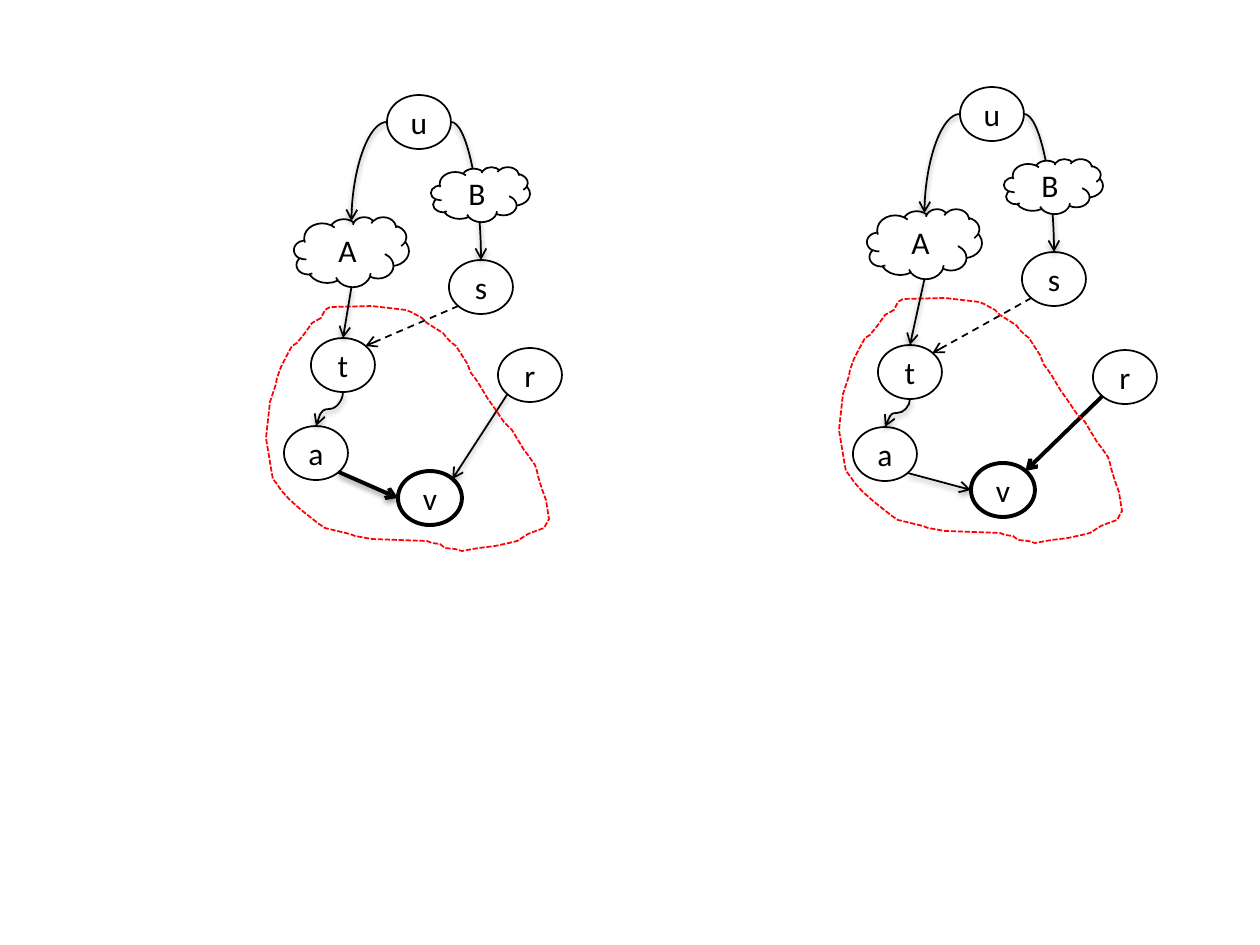
from lxml import etree
from pptx import Presentation, util as u
from pptx.dml.color import RGBColor
from pptx.enum import dml, shapes, text
from pptx.oxml.ns import qn

PX = u.Inches(1) / 126
OVAL, CLOUD = shapes.MSO_SHAPE.OVAL, shapes.MSO_SHAPE.CLOUD
TOP, BOTTOM, LEFT, RIGHT = (0.5, 0), (0.5, 1), (0, 0.5), (1, 0.5)
LOWER_LEFT, LOWER_RIGHT, UPPER_RIGHT = (0.15, 0.85), (0.85, 0.85), (0.85, 0.15)
CLOUD_TOP = (0.5, 0.06)
REGION = [
    (321, 318), (312, 323), (305, 333), (301, 338), (297, 343), (292, 346),
    (286, 357), (281, 367), (277, 378), (276, 384), (270, 402), (266, 438),
    (272, 474), (273, 479), (277, 484), (281, 490), (289, 499), (299, 508),
    (305, 513), (319, 524), (325, 528), (350, 534), (355, 536), (372, 539),
    (427, 541), (432, 543), (440, 544), (445, 548), (455, 549), (462, 551),
    (473, 549), (479, 548), (495, 546), (509, 543), (517, 541), (528, 534),
    (533, 532), (544, 528), (549, 519), (546, 500), (542, 489), (538, 476),
    (537, 471), (535, 465), (528, 455), (524, 450), (518, 440), (512, 430),
    (504, 422), (493, 406), (488, 399), (479, 384), (475, 378), (471, 373),
    (467, 363), (456, 346), (452, 343), (447, 338), (443, 333), (427, 323),
    (422, 318), (411, 312), (406, 310), (372, 306), (330, 307), (325, 310),
]


def px(length):
    """Turn whole px into EMU."""
    return round(length * PX)


def color(code):
    """Turn a hex string into a colour."""
    return RGBColor.from_string(code)


def anchor(node, spot):
    """Give the point at a fractional spot of a node."""
    return (round(node.left + spot[0] * node.width),
            round(node.top + spot[1] * node.height))


class Diagram:
    """Holds the style and the slide, and draws graph elements."""

    font, size = "Calibri", 18
    ink, paper, accent = "000000", "FFFFFF", "FF0000"
    thin, thick = 1, 2.25

    def __init__(self, slide):
        """Start on a slide."""
        self.slide = slide

    def stroke(self, line, width, ink, dash=None):
        """Style an outline."""
        line.width = u.Pt(width)
        line.color.rgb = color(ink)
        if dash:
            line.dash_style = dash

    def node(self, label, left, top, width=64, height=54, kind=OVAL, weight=thin):
        """Draw a labelled node."""
        node = self.slide.shapes.add_shape(kind, px(left), px(top), px(width), px(height))
        node.shadow.inherit = False
        node.fill.solid()
        node.fill.fore_color.rgb = color(self.paper)
        self.stroke(node.line, weight, self.ink)
        frame = node.text_frame
        frame.margin_left = frame.margin_right = 0
        frame.vertical_anchor = text.MSO_ANCHOR.MIDDLE
        frame.text = label
        paragraph = frame.paragraphs[0]
        paragraph.alignment = text.PP_ALIGN.CENTER
        font = paragraph.runs[0].font
        font.name, font.size = self.font, u.Pt(self.size)
        font.color.rgb = color(self.ink)
        return node

    def edge(self, source, start, target, end, weight=thin, dash=None,
             shadow=True, bend=None):
        """Draw an arrow between two nodes, straight or bent."""
        (x1, y1), (x2, y2) = anchor(source, start), anchor(target, end)
        if bend == "curvedConnector3":
            mid_x, mid_y = (x1 + x2) // 2, (y1 + y2) // 2
            half_w, half_h = (y2 - y1) // 2, (x1 - x2) // 2
            x1, y1, x2, y2 = mid_x - half_w, mid_y - half_h, mid_x + half_w, mid_y + half_h
        kind = shapes.MSO_CONNECTOR.CURVE if bend else shapes.MSO_CONNECTOR.STRAIGHT
        arrow = self.slide.shapes.add_connector(kind, x1, y1, x2, y2)
        self.stroke(arrow.line, weight, self.ink, dash)
        props = arrow.element.spPr
        if bend:
            props.find(qn("a:prstGeom")).set("prst", bend)
        if bend == "curvedConnector3":
            props.find(qn("a:xfrm")).set("rot", "5400000")
        etree.SubElement(props.find(qn("a:ln")), qn("a:tailEnd"), type="arrow")
        effects = etree.SubElement(props, qn("a:effectLst"))
        if shadow:
            outer = etree.SubElement(effects, qn("a:outerShdw"), blurRad="40000",
                                     dist="20000", dir="5400000", rotWithShape="0")
            shade = etree.SubElement(outer, qn("a:srgbClr"), val=self.ink)
            etree.SubElement(shade, qn("a:alpha"), val="38000")

    def region(self, dx, dy):
        """Draw the dashed subtree boundary."""
        points = [(px(x + dx), px(y + dy)) for x, y in REGION]
        builder = self.slide.shapes.build_freeform(*points[0], scale=1.0)
        builder.add_line_segments(points[1:], close=True)
        boundary = builder.convert_to_shape()
        boundary.shadow.inherit = False
        boundary.fill.background()
        self.stroke(boundary.line, self.thin, self.accent, dml.MSO_LINE.SQUARE_DOT)

    def tree(self, dx, dy, t_at, a_at, r_at, parent):
        """Draw one tree, with a bold edge from the parent of v."""
        s = self.node("s", 449 + dx, 260 + dy)
        t = self.node("t", *t_at)
        self.edge(s, LOWER_LEFT, t, UPPER_RIGHT, dash=dml.MSO_LINE.DASH, shadow=False)
        v = self.node("v", 398 + dx, 471 + dy, weight=self.thick)
        root = self.node("u", 387 + dx, 95 + dy)
        self.edge(root, RIGHT, s, TOP, bend="curvedConnector2")
        cloud_a = self.node("A", 294 + dx, 217 + dy, 115, 70, CLOUD)
        self.node("B", 431 + dx, 167 + dy, 99, 55, CLOUD)
        r = self.node("r", *r_at)
        weight = {"a": self.thin, "r": self.thin, parent: self.thick}
        self.edge(r, LOWER_LEFT, v, UPPER_RIGHT, weight["r"], shadow=parent != "r")
        self.region(dx, dy)
        a = self.node("a", *a_at)
        self.edge(t, BOTTOM, a, TOP, bend="curvedConnector3")
        self.edge(a, LOWER_RIGHT, v, LEFT, weight["a"])
        self.edge(root, LEFT, cloud_a, CLOUD_TOP, bend="curvedConnector2")
        self.edge(cloud_a, BOTTOM, t, TOP)


def main():
    """Build the slide with both trees."""
    deck = Presentation()
    deck.slide_width, deck.slide_height = px(1260), px(945)
    diagram = Diagram(deck.slides.add_slide(deck.slide_layouts[6]))
    diagram.tree(0, 0, (311, 338), (284, 426), (498, 348), "a")
    diagram.tree(573, -8, (878, 345), (853, 427), (1093, 350), "r")
    deck.save("out.pptx")


if __name__ == "__main__":
    main()
